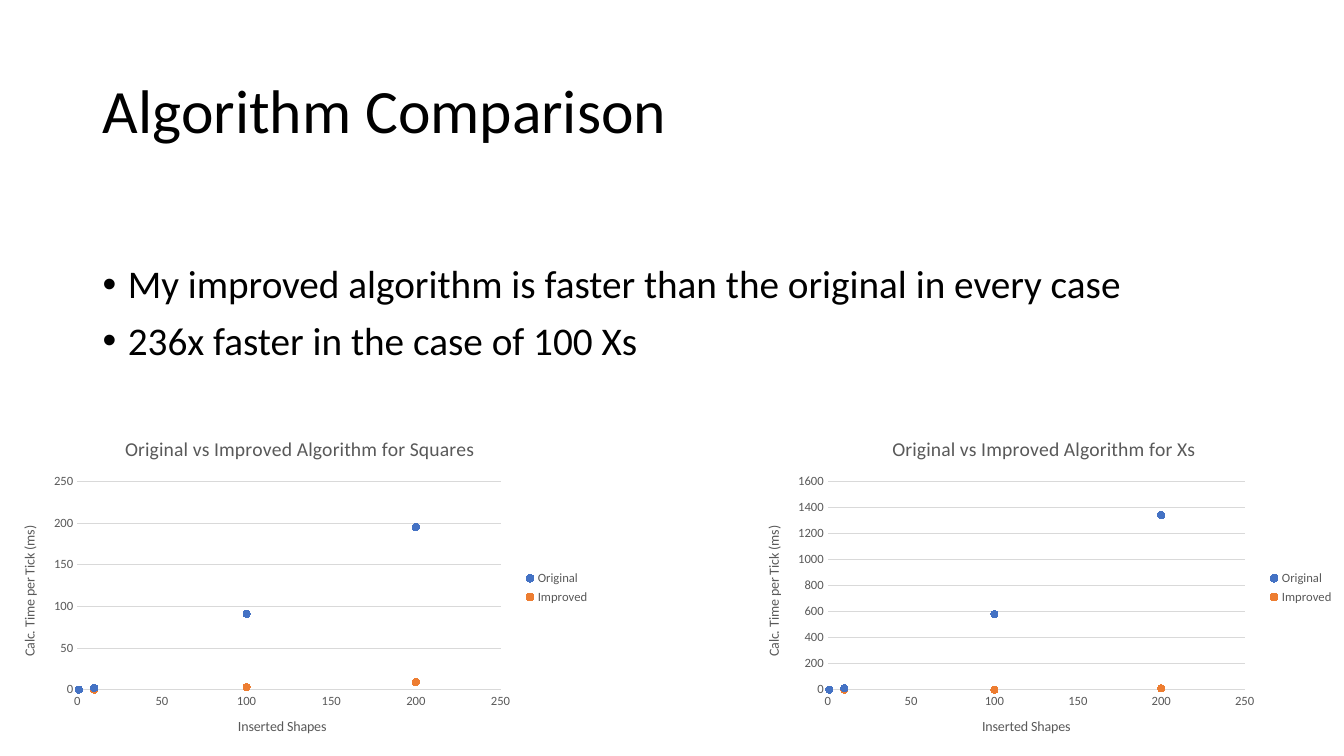
from lxml import etree
from pptx import Presentation
from pptx import util as u
from pptx.chart.data import XyChartData
from pptx.dml.color import RGBColor
from pptx.enum import chart as ch, text
from pptx.oxml.ns import qn

BLACK = RGBColor(0x00, 0x00, 0x00)
GRAY = RGBColor(0x59, 0x59, 0x59)
GRID = RGBColor(0xD9, 0xD9, 0xD9)
BLUE = RGBColor(0x44, 0x72, 0xC4)
ORANGE = RGBColor(0xED, 0x7D, 0x31)
FONT = "Calibri"
INSERTED = (1, 10, 100, 200)
CLAIMS = (
    "My improved algorithm is faster than the original in every case",
    "236x faster in the case of 100 Xs",
)
COMPARISONS = (
    ("Squares", 0, 250, 50, (0, 2, 91, 195), (0, 0, 3, 9)),
    ("Xs", 7.38, 1600, 200, (0, 10, 580, 1340), (0, 0, 0, 10)),
)


def style_font(font, size, color):
    """Set the typeface, size, weight and colour of a font."""
    font.name, font.size, font.bold = FONT, u.Pt(size), False
    font.color.rgb = color


def place(shape, left, top, width, height):
    """Move a shape to a box given in inches."""
    shape.left, shape.top = u.Inches(left), u.Inches(top)
    shape.width, shape.height = u.Inches(width), u.Inches(height)


def add_heading(slide, box, wording):
    """Place and format the slide title."""
    heading = slide.shapes.title
    place(heading, *box)
    frame = heading.text_frame
    frame.text = wording
    frame.auto_size = text.MSO_AUTO_SIZE.NONE
    frame.vertical_anchor = text.MSO_ANCHOR.MIDDLE
    line = frame.paragraphs[0]
    line.alignment = text.PP_ALIGN.LEFT
    line.line_spacing = 0.9
    style_font(line.font, 44, BLACK)


def add_claims(slide, box, claims):
    """Write the bulleted claims into the box."""
    frame = slide.shapes.add_textbox(*map(u.Inches, box)).text_frame
    frame.word_wrap = True
    for index, claim in enumerate(claims):
        line = frame.add_paragraph() if index else frame.paragraphs[0]
        line.text = claim
        line.line_spacing = 0.9
        line.space_before = u.Pt(10 if index else 0)
        style_font(line.font, 28, BLACK)
        properties = line._p.get_or_add_pPr()
        properties.set("marL", str(u.Inches(0.25)))
        properties.set("indent", str(-u.Inches(0.25)))
        bullet_font = etree.Element(qn("a:buFont"), typeface="Arial")
        bullet = etree.Element(qn("a:buChar"), char="•")
        position = list(properties).index(properties.find(qn("a:defRPr")))
        properties[position:position] = [bullet_font, bullet]


def write_title(owner, wording, size):
    """Give a chart or an axis its title."""
    frame = owner.text_frame
    frame.text = wording
    style_font(frame.paragraphs[0].font, size, GRAY)


def format_axis(axis, wording, maximum, step):
    """Set the scale, labels and title of an axis."""
    axis.minimum_scale, axis.maximum_scale, axis.major_unit = 0, maximum, step
    axis.major_tick_mark = axis.minor_tick_mark = ch.XL_TICK_MARK.NONE
    axis.has_major_gridlines = False
    style_font(axis.tick_labels.font, 9, GRAY)
    write_title(axis.axis_title, wording, 10)


def add_comparison(slide, box, shapes_kind, maximum, step, original, improved):
    """Plot both algorithms against the number of inserted shapes."""
    timings = XyChartData()
    for name, values in (("Original", original), ("Improved", improved)):
        series = timings.add_series(name)
        for inserted, milliseconds in zip(INSERTED, values):
            series.add_data_point(inserted, milliseconds)
    chart = slide.shapes.add_chart(
        ch.XL_CHART_TYPE.XY_SCATTER, *map(u.Inches, box), timings
    ).chart
    style_font(chart.font, 10, BLACK)
    write_title(chart.chart_title, f"Original vs Improved Algorithm for {shapes_kind}", 14)
    chart.chart_title.include_in_layout = False
    chart.has_legend = True
    chart.legend.position = ch.XL_LEGEND_POSITION.RIGHT
    chart.legend.include_in_layout = False
    style_font(chart.legend.font, 9, GRAY)
    format_axis(chart.category_axis, "Inserted Shapes", 250, 50)
    format_axis(chart.value_axis, "Calc. Time per Tick (ms)", maximum, step)
    chart.value_axis.has_major_gridlines = True
    chart.value_axis.format.line.fill.background()
    for line in (chart.category_axis.format.line,
                 chart.value_axis.major_gridlines.format.line):
        line.color.rgb, line.width = GRID, u.Pt(0.75)
    plot = chart.plots[0]
    plot.vary_by_categories = False
    for series, color in zip(plot.series, (BLUE, ORANGE)):
        series.format.line.fill.background()
        series.marker.style = ch.XL_MARKER_STYLE.CIRCLE
        series.marker.size = 5
        series.marker.format.fill.solid()
        series.marker.format.fill.fore_color.rgb = color
        series.marker.format.line.color.rgb = color


def main():
    """Build the comparison slide and save it."""
    deck = Presentation()
    deck.slide_width, deck.slide_height = u.Inches(13.33), u.Inches(7.5)
    slide = deck.slides.add_slide(deck.slide_layouts.get_by_name("Title Only"))
    add_heading(slide, (0.92, 0.4, 11.5, 1.45), "Algorithm Comparison")
    add_claims(slide, (0.92, 2.58, 11.5, 1.2), CLAIMS)
    for kind, left, maximum, step, original, improved in COMPARISONS:
        add_comparison(slide, (left, 4.16, 5.95, 3.34), kind, maximum, step,
                       original, improved)
    deck.save("out.pptx")


if __name__ == "__main__":
    main()
